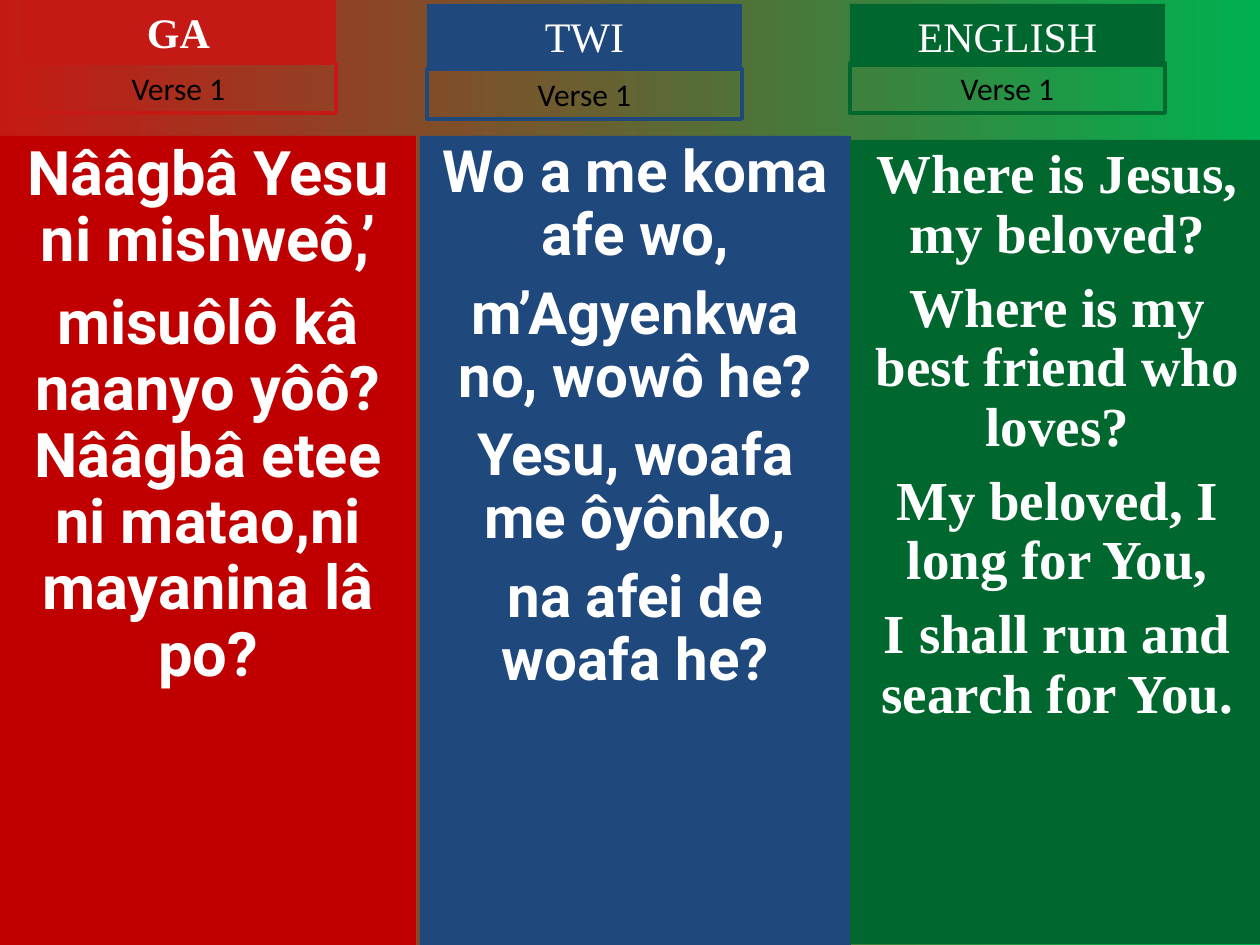
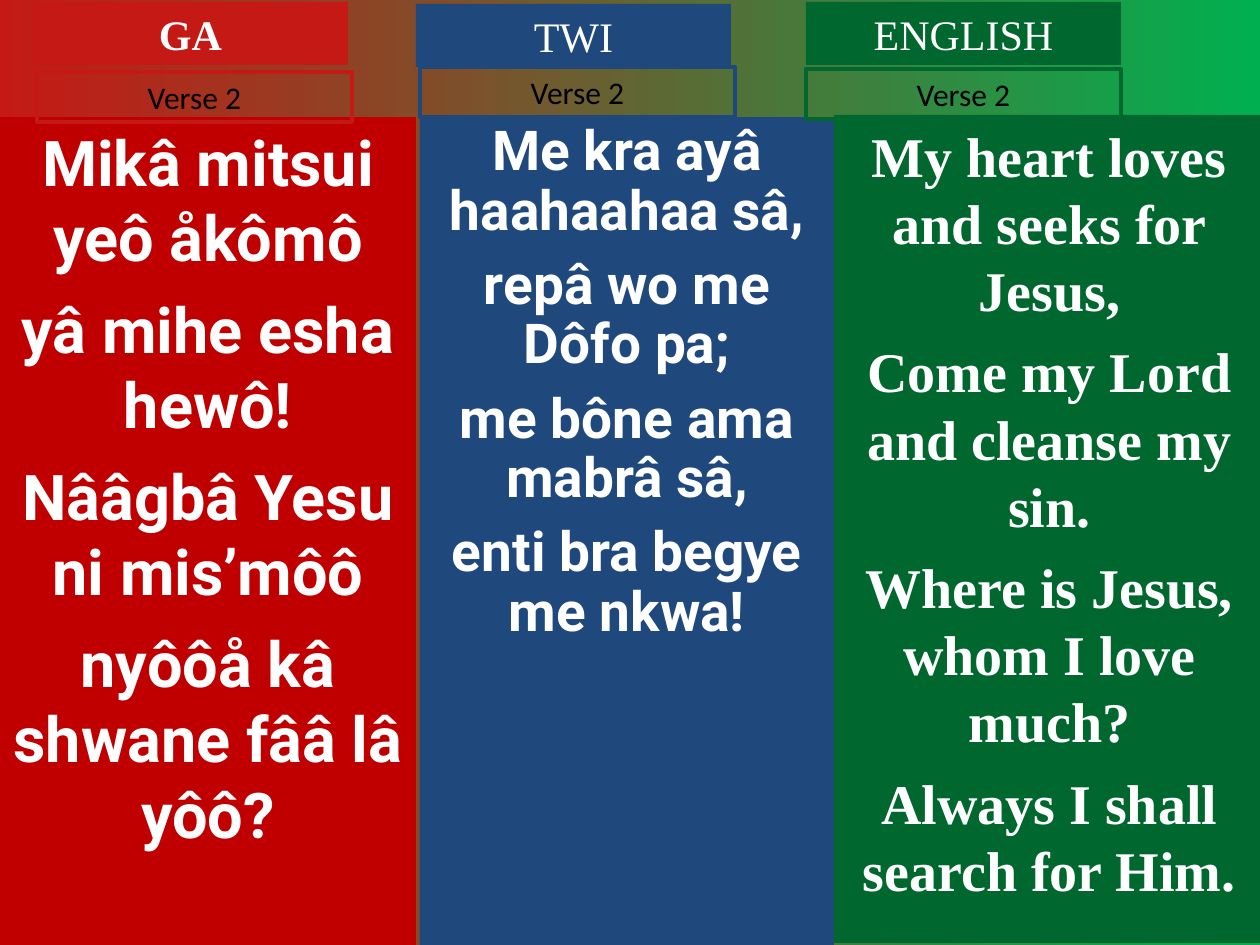
import pptx
import pptx.util
import pptx.dml.color
import pptx.enum.shapes
import pptx.enum.text

PX = 914400 / 126
THEME = {
    "red": "C51915",
    "dark_red": "C00000",
    "blue": "1F497D",
    "green": "00682F",
    "bright_green": "00B050",
    "white": "FFFFFF",
    "black": "000000",
    "serif": "Times New Roman",
    "sans": "Roboto",
    "label": "Calibri",
    "title_size": 24,
    "verse_size": 18,
}
TITLE_SIZE = (315, 63)
VERSE_SIZE = (315, 50)

COLUMNS = [
    ("GA", "red", "dark_red", "sans", True),
    ("TWI", "blue", "blue", "sans", False),
    ("ENGLISH", "green", "green", "serif", False),
]

SLIDES = [
    ("Verse 1", [
        {"title": (21, 0), "verse": (21, 63), "body": (0, 136, 416, 809),
         "size": 35.1, "spacing": 0.9, "before": 9.5,
         "lines": ["Nââgbâ Yesu ni mishweô,’",
                   "misuôlô kâ naanyo yôô? Nââgbâ etee ni matao,ni mayanina lâ po?"]},
        {"title": (427, 4), "verse": (427, 69), "body": (420, 136, 431, 809),
         "size": 33.3, "spacing": 0.9, "before": 9,
         "lines": ["Wo a me koma afe wo,", "m’Agyenkwa no, wowô he?",
                   "Yesu, woafa me ôyônko,", "na afei de woafa he?"]},
        {"title": (850, 4), "verse": (850, 63), "body": (850, 140, 415, 804),
         "size": 31.4, "spacing": 0.9, "before": 8.5,
         "lines": ["Where is Jesus, my beloved?", "Where is my best friend who loves?",
                   "My beloved, I long for You,", "I shall run and search for You."]},
    ]),
    ("Verse 2", [
        {"title": (33, 2), "verse": (37, 72), "body": (0, 117, 416, 828),
         "size": 36, "spacing": 1.0, "before": 9,
         "lines": ["Mikâ mitsui yeô åkômô", "yâ mihe esha hewô!",
                   "Nââgbâ Yesu ni mis’môô", "nyôôå kâ shwane fââ lâ yôô?"]},
        {"title": (416, 4), "verse": (420, 67), "body": (420, 117, 414, 828),
         "size": 31.4, "spacing": 0.9, "before": 8.5,
         "lines": ["Me kra ayâ haahaahaa sâ,", "repâ wo me Dôfo pa;",
                   "me bône ama mabrâ sâ,", "enti bra begye me nkwa!"]},
        {"title": (806, 2), "verse": (806, 69), "body": (834, 115, 431, 828),
         "size": 32, "spacing": 1.0, "before": 8,
         "lines": ["My heart loves and seeks for Jesus,", "Come my Lord and cleanse my sin.",
                   "Where is Jesus, whom I love much?", "Always I shall search for Him."]},
    ]),
]


def rgb(name):
    return pptx.dml.color.RGBColor.from_string(THEME[name])


def add_panel(s, box, lines, font, size, color, bold=False, fill=None, line=None,
              spacing=1.0, before=0, grow=True):
    sp = s.shapes.add_shape(pptx.enum.shapes.MSO_SHAPE.RECTANGLE, *(round(v * PX) for v in box))
    sp.shadow.inherit = False
    if fill:
        sp.fill.solid()
        sp.fill.fore_color.rgb = rgb(fill)
    else:
        sp.fill.background()
    if line:
        sp.line.color.rgb = rgb(line)
        sp.line.width = pptx.util.Pt(2.25)
    else:
        sp.line.fill.background()
    tf = sp.text_frame
    tf.word_wrap = True
    tf.vertical_anchor = pptx.enum.text.MSO_ANCHOR.TOP
    if grow:
        tf.auto_size = pptx.enum.text.MSO_AUTO_SIZE.SHAPE_TO_FIT_TEXT
    for i, text in enumerate(lines):
        p = tf.add_paragraph() if i else tf.paragraphs[0]
        p.text = text
        p.alignment = pptx.enum.text.PP_ALIGN.CENTER
        p.line_spacing = spacing
        p.space_before = pptx.util.Pt(before if i else 0)
        p.font.name = THEME[font]
        p.font.size = pptx.util.Pt(size)
        p.font.bold = bold
        p.font.color.rgb = rgb(color)


prs = pptx.Presentation()
prs.slide_width = round(1260 * PX)
prs.slide_height = round(945 * PX)

for verse, panels in SLIDES:
    s = prs.slides.add_slide(prs.slide_layouts[6])
    background = s.background.fill
    background.gradient()
    background.gradient_angle = 0
    for stop, color in zip(background.gradient_stops, ("red", "bright_green")):
        stop.color.rgb = rgb(color)
    for (language, accent, body_fill, body_font, title_bold), panel in zip(COLUMNS, panels):
        add_panel(s, panel["body"], panel["lines"], body_font, panel["size"], "white",
                  bold=True, fill=body_fill, spacing=panel["spacing"],
                  before=panel["before"], grow=False)
        add_panel(s, panel["title"] + TITLE_SIZE, [language], "serif", THEME["title_size"],
                  "white", bold=title_bold, fill=accent)
        add_panel(s, panel["verse"] + VERSE_SIZE, [verse], "label", THEME["verse_size"],
                  "black", line=accent)

prs.save("out.pptx")
